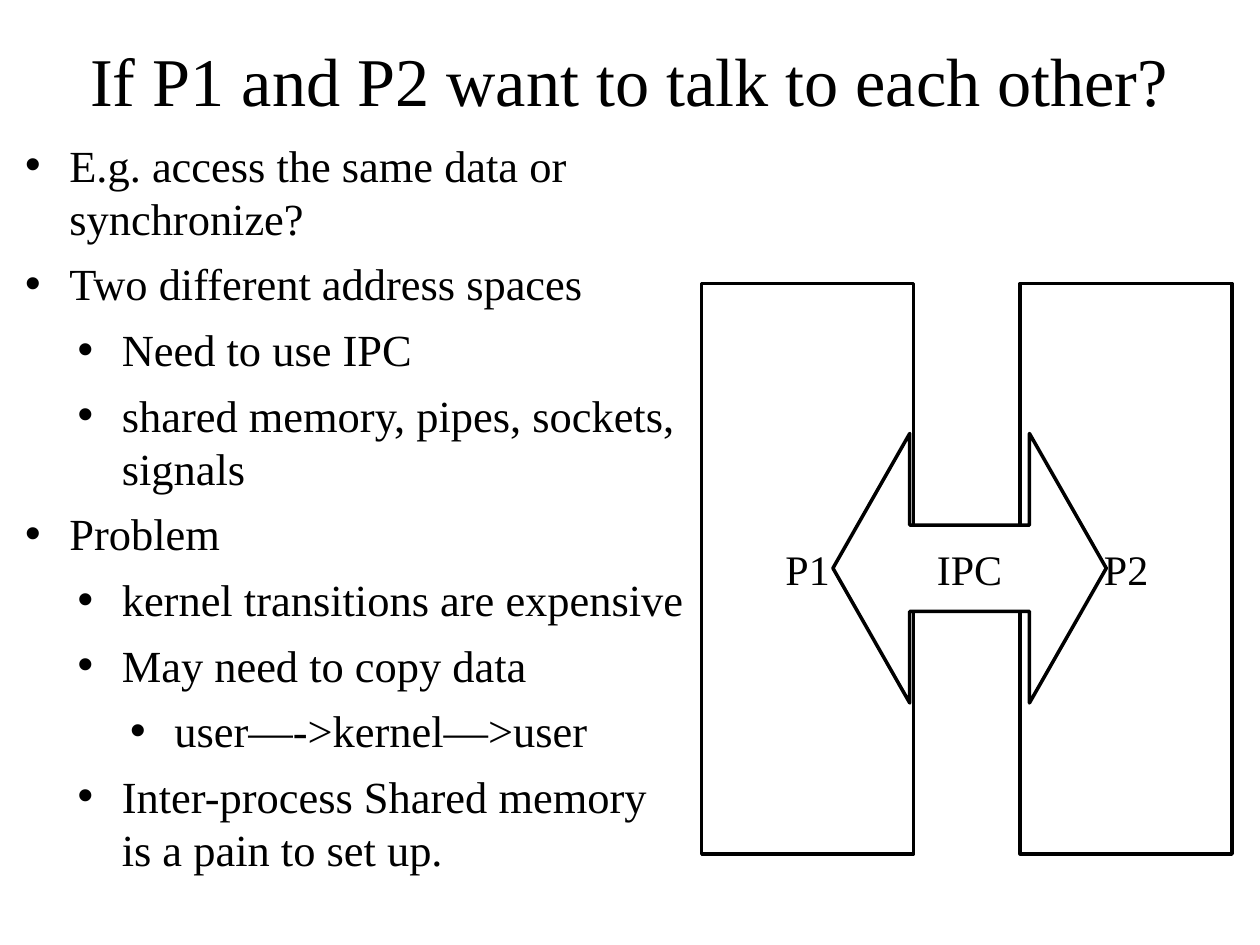
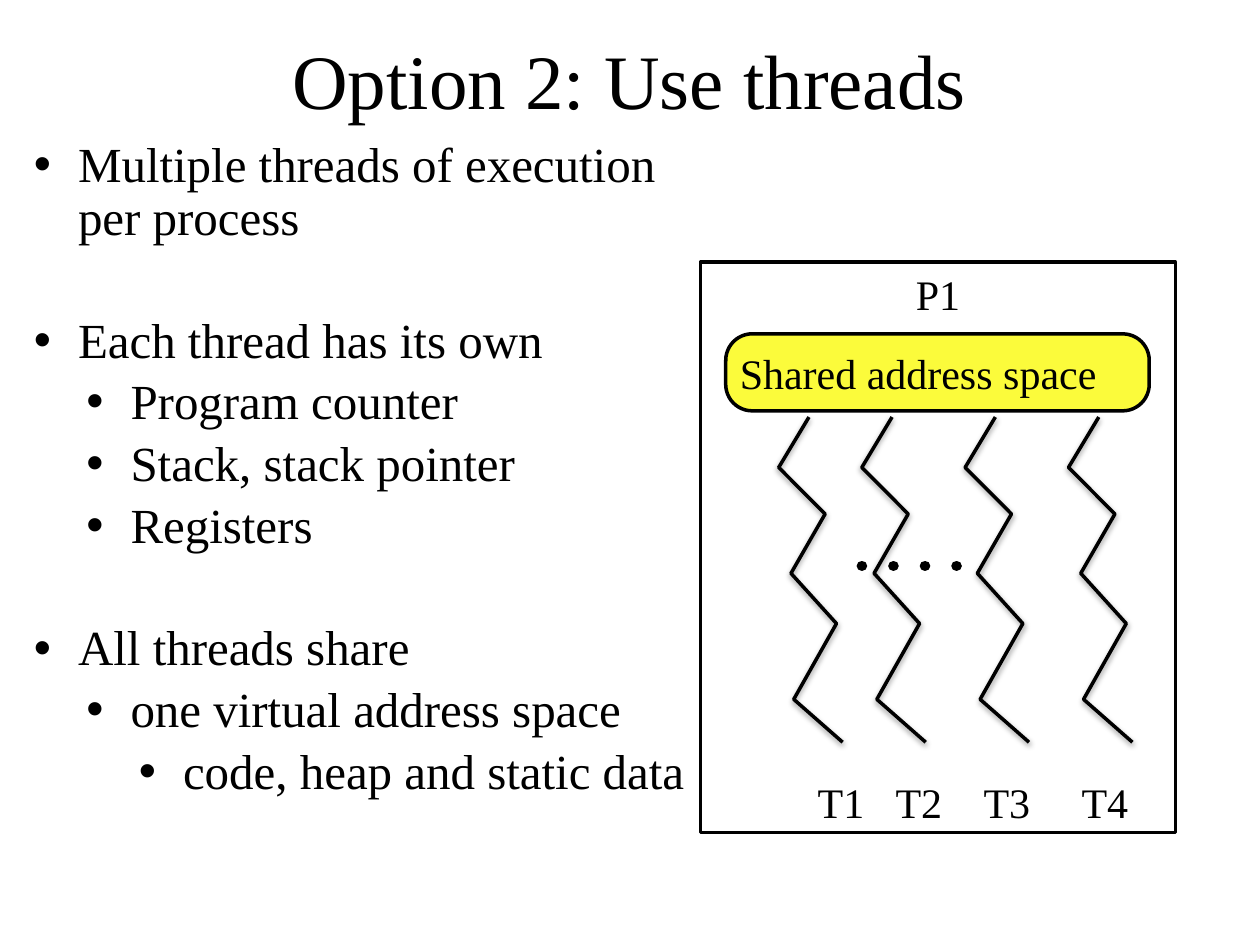
from dataclasses import dataclass

from lxml import etree
from pptx import Presentation
from pptx.dml.color import RGBColor
from pptx.enum import shapes, text
from pptx.oxml import ns
from pptx.util import Pt


@dataclass(frozen=True)
class Theme:
    font: str = "Times New Roman"
    ink: RGBColor = RGBColor(0, 0, 0)
    paper: RGBColor = RGBColor(255, 255, 255)
    highlight: RGBColor = RGBColor(0xFB, 0xFB, 0x3B)
    label_size: float = 24
    line_width: float = 2
    dot_size: float = 6
    inset: float = 3.6
    bullet_hang: float = 25.2
    level_step: float = 30


THEME = Theme()
SQUIGGLE = [(17.3, 0), (0, 28.8), (26.5, 55.4), (7, 89.3), (33, 118), (8.6, 161.3), (36.5, 185.8)]
THREADS = [("T1", 445, 480.6), ("T2", 492.5, 525.1), ("T3", 551.5, 575.4), ("T4", 610.6, 631.4)]

IPC_POINTS = [
    (0, "E.g. access the same data or synchronize?"),
    (0, "Two different address spaces"),
    (1, "Need to use IPC"),
    (1, "shared memory, pipes, sockets, signals"),
    (0, "Problem"),
    (1, "kernel transitions are expensive"),
    (1, "May need to copy data"),
    (2, "user—->kernel—>user"),
    (1, "Inter-process Shared memory is a pain to set up."),
]
THREAD_POINTS = [
    (0, "Multiple threads of execution per process"),
    (0, "Each thread has its own"),
    (1, "Program counter"),
    (1, "Stack, stack pointer"),
    (1, "Registers"),
    (0, "All threads share"),
    (1, "one virtual address space"),
    (2, "code, heap and static data"),
]


def add_xml(parent, tag, **attributes):
    return etree.SubElement(parent, ns.qn(tag), attributes)


def place(shape, left, top, width, height):
    shape.left, shape.top, shape.width, shape.height = map(Pt, (left, top, width, height))


def prepare_frame(shape, anchor, inset=THEME.inset):
    frame = shape.text_frame
    frame.word_wrap = True
    frame.auto_size = text.MSO_AUTO_SIZE.NONE
    frame.vertical_anchor = anchor
    frame.margin_left = frame.margin_right = Pt(inset)
    frame.margin_top = frame.margin_bottom = Pt(inset)
    return frame


def style_paragraph(paragraph, size, alignment):
    paragraph.alignment = alignment
    paragraph.font.name = THEME.font
    paragraph.font.size = Pt(size)
    paragraph.font.color.rgb = THEME.ink


def write_label(shape, words, anchor, alignment, size=THEME.label_size, inset=THEME.inset):
    frame = prepare_frame(shape, anchor, inset)
    frame.text = words
    style_paragraph(frame.paragraphs[0], size, alignment)


def set_title(slide, words, size):
    title = slide.shapes.title
    place(title, 13.7, 0, 692, 90)
    write_label(title, words, text.MSO_ANCHOR.MIDDLE, text.PP_ALIGN.CENTER, size)


def set_bullets(slide, points, box, size, gap, line_spacing=1.0, section_gap=None):
    body = slide.placeholders[1]
    place(body, *box)
    frame = prepare_frame(body, text.MSO_ANCHOR.TOP)
    for index, (level, words) in enumerate(points):
        paragraph = frame.add_paragraph() if index else frame.paragraphs[0]
        paragraph.text = words
        paragraph.level = level
        paragraph.line_spacing = line_spacing
        starts_section = section_gap and index and level == 0
        paragraph.space_before = Pt(section_gap if starts_section else gap)
        properties = paragraph._p.get_or_add_pPr()
        properties.set("marL", str(Pt(THEME.bullet_hang + level * THEME.level_step)))
        properties.set("indent", str(-Pt(THEME.bullet_hang)))
        add_xml(properties, "a:buFont", typeface="Arial")
        add_xml(properties, "a:buChar", char="•")
        style_paragraph(paragraph, size, text.PP_ALIGN.LEFT)


def outline(shape):
    shape.shadow.inherit = False
    shape.line.color.rgb = THEME.ink
    shape.line.width = Pt(THEME.line_width)


def add_block(slide, kind, box, words, fill=THEME.paper, anchor=text.MSO_ANCHOR.MIDDLE,
              alignment=text.PP_ALIGN.CENTER, adjustments=()):
    block = slide.shapes.add_shape(kind, *map(Pt, box))
    for index, value in enumerate(adjustments):
        block.adjustments[index] = value
    block.fill.solid()
    block.fill.fore_color.rgb = fill
    outline(block)
    write_label(block, words, anchor, alignment)


def add_thread(slide, left, top):
    points = [(Pt(left + x), Pt(top + y)) for x, y in SQUIGGLE]
    builder = slide.shapes.build_freeform(*points[0])
    builder.add_line_segments(points[1:], close=False)
    thread = builder.convert_to_shape()
    thread.fill.background()
    outline(thread)
    effects = thread._element.spPr.find(ns.qn("a:effectLst"))
    shadow = add_xml(effects, "a:outerShdw", blurRad=str(Pt(3)), dist=str(Pt(1.6)),
                     dir="5400000", rotWithShape="0")
    color = add_xml(shadow, "a:srgbClr", val=str(THEME.ink))
    add_xml(color, "a:alpha", val="38000")


def add_thread_label(slide, words, center):
    label = slide.shapes.add_textbox(Pt(center - 18), Pt(444), Pt(36), Pt(28.8))
    write_label(label, words, text.MSO_ANCHOR.MIDDLE, text.PP_ALIGN.CENTER, inset=0)


def add_dots(slide, left, right, y):
    dots = slide.shapes.add_connector(shapes.MSO_CONNECTOR.STRAIGHT, Pt(left), Pt(y), Pt(right), Pt(y))
    dots.line.color.rgb = THEME.ink
    dots.line.width = Pt(THEME.dot_size)
    line = dots.line._get_or_add_ln()
    line.set("cap", "rnd")
    dashes = add_xml(line, "a:custDash")
    add_xml(dashes, "a:ds", d="100000", sp="200000")
    add_xml(dots._element.spPr, "a:effectLst")


def new_slide(presentation):
    return presentation.slides.add_slide(presentation.slide_layouts[1])


def build_ipc_slide(presentation):
    slide = new_slide(presentation)
    set_title(slide, "If P1 and P2 want to talk to each other?", 39)
    set_bullets(slide, IPC_POINTS, (10.8, 75, 386, 454), 25.4, 7)
    for name, left in (("P1", 401), ("P2", 583)):
        add_block(slide, shapes.MSO_SHAPE.RECTANGLE, (left, 162, 121, 326), name)
    add_block(slide, shapes.MSO_SHAPE.LEFT_RIGHT_ARROW, (476, 247.7, 156.2, 154), "IPC",
              adjustments=(0.32, 0.285))


def build_threads_slide(presentation):
    slide = new_slide(presentation)
    set_title(slide, "Option 2: Use threads", 44)
    set_bullets(slide, THREAD_POINTS, (15.8, 76.3, 384.5, 456.5), 28, 5, 0.9, section_gap=40)
    add_block(slide, shapes.MSO_SHAPE.RECTANGLE, (400.3, 149.8, 271.4, 326), "P1",
              anchor=text.MSO_ANCHOR.TOP)
    for name, left, label_center in THREADS:
        add_thread(slide, left, 238.3)
        add_thread_label(slide, name, label_center)
    add_dots(slide, 492.5, 564.5, 323.3)
    add_block(slide, shapes.MSO_SHAPE.ROUNDED_RECTANGLE, (414.7, 190.8, 242, 44),
              "Shared address space", THEME.highlight, text.MSO_ANCHOR.TOP,
              text.PP_ALIGN.LEFT, (0.344,))


def main():
    presentation = Presentation()
    presentation.slide_width, presentation.slide_height = Pt(720), Pt(540)
    build_ipc_slide(presentation)
    build_threads_slide(presentation)
    presentation.save("out.pptx")


if __name__ == "__main__":
    main()
